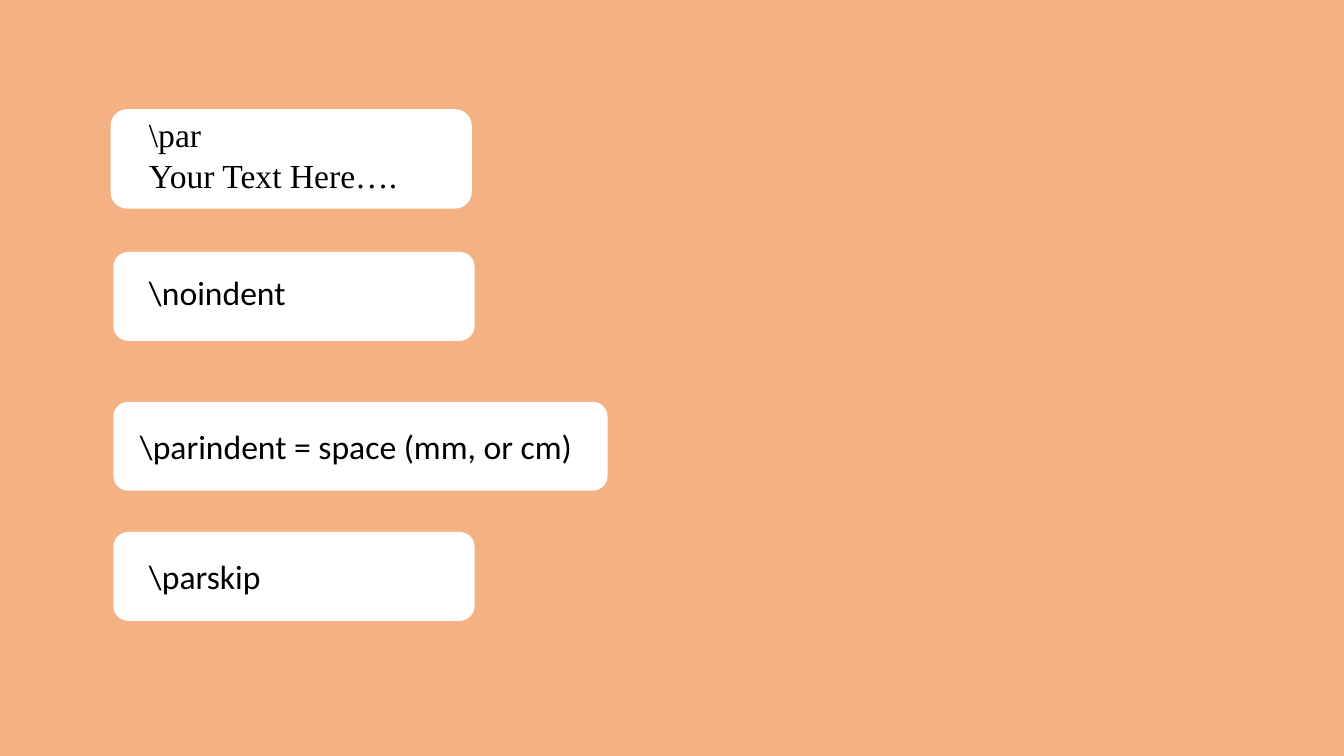
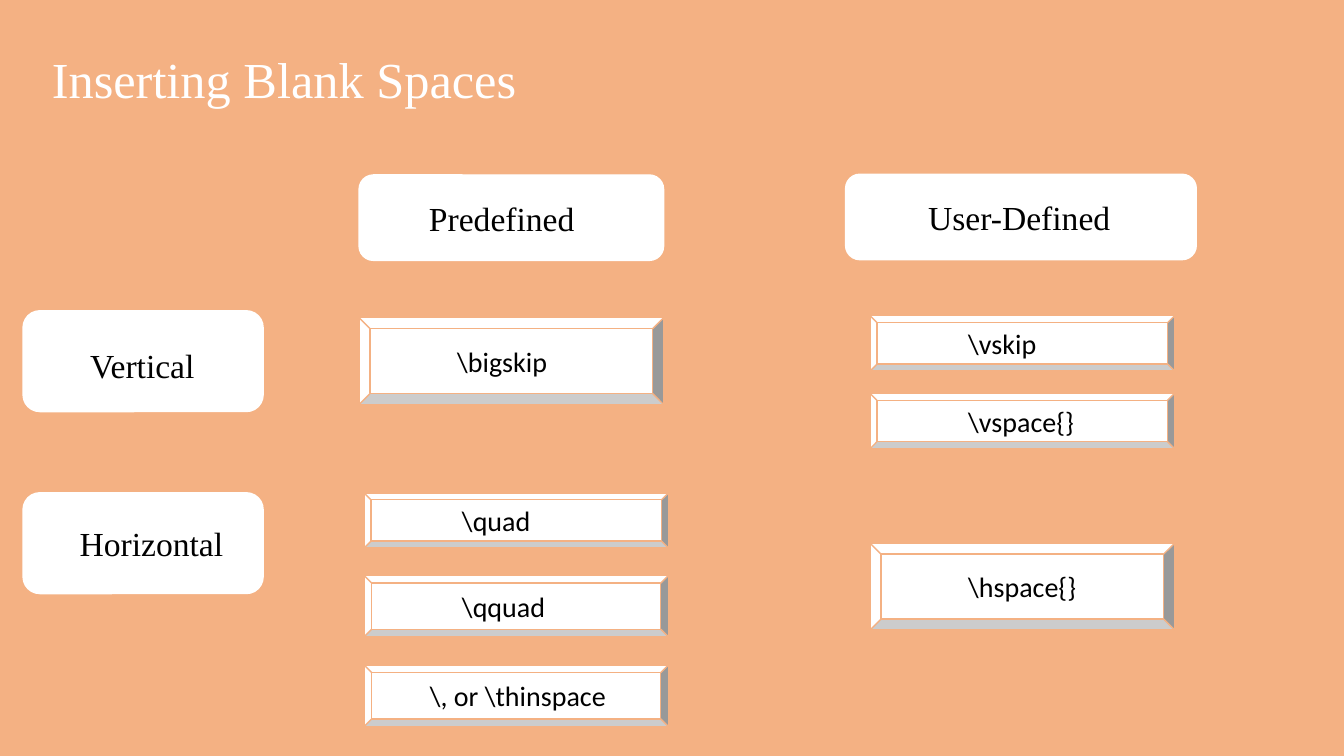
from dataclasses import dataclass

from pptx import Presentation
from pptx.dml.color import RGBColor
from pptx.enum.shapes import MSO_SHAPE as Shape
from pptx.enum.text import MSO_ANCHOR as Anchor, PP_ALIGN as Align
from pptx.util import Pt


@dataclass(frozen=True)
class Theme:
    peach: RGBColor = RGBColor(0xF4, 0xB1, 0x83)
    white: RGBColor = RGBColor(0xFF, 0xFF, 0xFF)
    black: RGBColor = RGBColor(0x00, 0x00, 0x00)
    serif: str = "Times New Roman"
    sans: str = "Calibri"
    title_size: float = 36
    label_size: float = 24
    command_size: float = 20
    outline: float = 1


THEME = Theme()
# Space the preset shapes keep around their text, as a share of the shorter side
TEXT_INSET = {Shape.ROUNDED_RECTANGLE: 0.05, Shape.BEVEL: 0.125}


def write(frame, text, *, font, size, color=THEME.black, anchor=Anchor.TOP):
    """Fill a text frame, one paragraph per line of text."""
    frame.word_wrap = True
    frame.vertical_anchor = anchor
    frame.text = text
    for paragraph in frame.paragraphs:
        paragraph.alignment = Align.LEFT
        paragraph.font.name = font
        paragraph.font.size = Pt(size)
        paragraph.font.color.rgb = color


class Deck:
    def __init__(self, theme):
        self.theme = theme
        self.presentation = Presentation()
        self.presentation.slide_width = Pt(960)
        self.presentation.slide_height = Pt(540)
        self.slide = None

    def new_slide(self):
        blank = self.presentation.slide_layouts[6]
        self.slide = self.presentation.slides.add_slide(blank)
        background = self.slide.background.fill
        background.solid()
        background.fore_color.rgb = self.theme.peach

    def title(self, text):
        heading = self.slide.shapes.add_textbox(Pt(30), Pt(31), Pt(684), Pt(51))
        write(heading.text_frame, text, font=self.theme.serif,
              size=self.theme.title_size, color=self.theme.white)

    def panel(self, preset, text, box, indent, *, font, size, line=None, drop=0):
        """White shape; its text starts at indent and sits drop below the middle."""
        left, top, width, height = box
        panel = self.slide.shapes.add_shape(
            preset, Pt(left), Pt(top), Pt(width), Pt(height))
        panel.shadow.inherit = False
        panel.fill.solid()
        panel.fill.fore_color.rgb = self.theme.white
        if line is None:
            panel.line.fill.background()
        else:
            panel.line.color.rgb = line
            panel.line.width = Pt(self.theme.outline)
        frame = panel.text_frame
        frame.margin_left = Pt(indent - TEXT_INSET[preset] * min(width, height))
        frame.margin_right = 0
        frame.margin_top = Pt(max(0, 2 * drop))
        frame.margin_bottom = Pt(max(0, -2 * drop))
        write(frame, text, font=font, size=size, anchor=Anchor.MIDDLE)

    def card(self, text, box, indent, *, font=THEME.serif, line=None, drop=0):
        self.panel(Shape.ROUNDED_RECTANGLE, text, box, indent, font=font,
                   size=self.theme.label_size, line=line, drop=drop)

    def command(self, text, left, top, height, indent=70):
        self.panel(Shape.BEVEL, text, (left, top, 217.5, height), indent,
                   font=self.theme.sans, size=self.theme.command_size,
                   line=self.theme.peach)


def paragraph_slide(deck):
    deck.new_slide()
    deck.card("\\par\nYour Text Here….", (79, 78, 258, 71), 27.5, drop=-3)
    for text, top, width, indent, drop in (
        ("\\noindent", 180, 258, 25.5, -3),
        ("\\parindent = space (mm, or cm)", 287, 353, 19, 0),
        ("\\parskip", 380, 258, 25.5, 0),
    ):
        deck.card(text, (81, top, width, 63.5), indent,
                  font=deck.theme.sans, drop=drop)


def spacing_slide(deck):
    deck.new_slide()
    deck.title("Inserting Blank Spaces")

    # Column and row headings
    for text, box, indent, drop in (
        ("Predefined", (256.5, 125, 217.5, 61), 50, 0),
        ("User-Defined", (604, 124.5, 250.5, 61), 59, 0),
        ("Vertical", (16.5, 222, 171.5, 72), 48, 3),
        ("Horizontal", (16.5, 352, 171.5, 72), 40.5, 0),
    ):
        deck.card(text, box, indent, line=deck.theme.white, drop=drop)

    # Predefined commands
    deck.command("\\bigskip", 256.5, 227, 62)
    deck.command("\\quad", 260, 352, 39.5)
    deck.command("\\qquad", 260, 411, 44)
    deck.command("\\, or \\thinspace", 260, 475, 44, indent=47)

    # User-defined commands
    for text, top, height in (
        ("\\vskip", 225.5, 39.5),
        ("\\vspace{}", 281, 39.5),
        ("\\hspace{}", 388, 62),
    ):
        deck.command(text, 621.5, top, height)


def main():
    deck = Deck(THEME)
    paragraph_slide(deck)
    spacing_slide(deck)
    deck.presentation.save("out.pptx")


if __name__ == "__main__":
    main()
